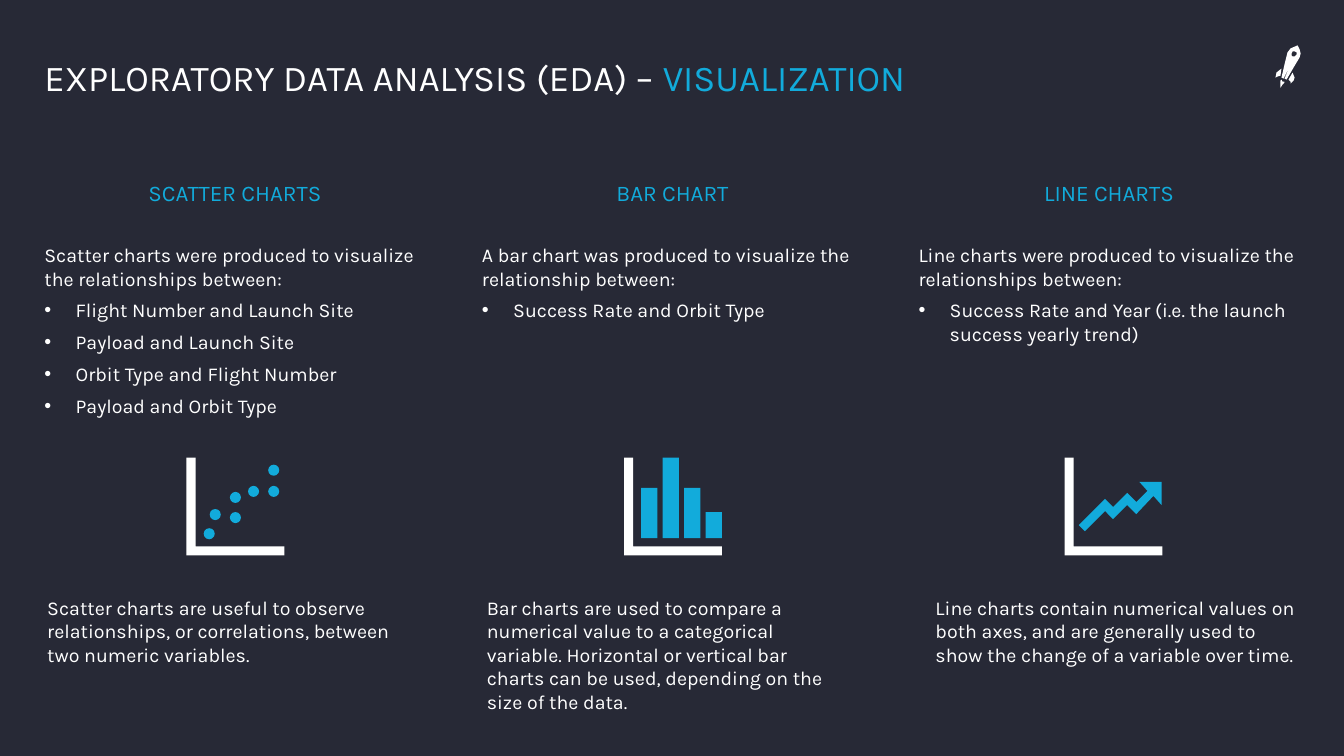
from lxml import etree
from pptx import Presentation
from pptx.dml.color import RGBColor
from pptx.enum.shapes import MSO_SHAPE as Preset
from pptx.enum.text import MSO_ANCHOR as Anchor, PP_ALIGN as Align
from pptx.oxml.ns import qn
from pptx.util import Inches, Pt

COLORS = {"background": "272936", "white": "FFFFFF", "blue": "12ABDB"}
FONT = "Karla"

presentation = Presentation()
presentation.slide_width = Inches(13.33)
presentation.slide_height = Inches(7.5)
slide = presentation.slides.add_slide(presentation.slide_layouts[6])
slide.background.fill.solid()
slide.background.fill.fore_color.rgb = RGBColor.from_string(COLORS["background"])


def add_text(text, left, top, width, height, size=14, color="white", accent="",
             align=Align.LEFT, anchor=Anchor.TOP, inset=(0, 0), bullets=(),
             space_after=0, line_spacing=None):
    """Add a text box: a lead paragraph with an optional accent, then bullets."""
    box = slide.shapes.add_textbox(Inches(left), Inches(top), Inches(width), Inches(height))
    frame = box.text_frame
    frame.word_wrap = True
    frame.vertical_anchor = anchor
    frame.margin_left = frame.margin_right = Inches(inset[0])
    frame.margin_top = frame.margin_bottom = Inches(inset[1])
    for index, line in enumerate([text, *bullets]):
        paragraph = frame.paragraphs[0] if index == 0 else frame.add_paragraph()
        if index > 0:
            properties = paragraph._p.get_or_add_pPr()
            properties.set("marL", str(Inches(0.31)))
            properties.set("indent", str(-Inches(0.31)))
            etree.SubElement(properties, qn("a:buFont")).set("typeface", "Arial")
            etree.SubElement(properties, qn("a:buChar")).set("char", "•")
        paragraph.alignment = align
        paragraph.space_after = Pt(space_after)
        paragraph.line_spacing = line_spacing
        pieces = [(line, color)]
        if accent and index == 0:
            pieces.append((accent, "blue"))
        for piece, piece_color in pieces:
            run = paragraph.add_run()
            run.text = piece
            run.font.name = FONT
            run.font.size = Pt(size)
            run.font.color.rgb = RGBColor.from_string(COLORS[piece_color])


def paint(shape, color):
    """Give a shape a flat fill without line or shadow."""
    shape.shadow.inherit = False
    shape.fill.solid()
    shape.fill.fore_color.rgb = RGBColor.from_string(COLORS[color])
    shape.line.fill.background()


# Title
add_text("EXPLORATORY DATA ANALYSIS (EDA) – ", 0.44, 0.21, 11.97, 0.78, size=26,
         accent="VISUALIZATION", anchor=Anchor.BOTTOM, line_spacing=0.9)

# Three columns: left, caption left, heading, lead, bullets, caption
columns = [
    (0.44, 0.37, "SCATTER CHARTS",
     "Scatter charts were produced to visualize the relationships between:",
     ["Flight Number and Launch Site", "Payload and Launch Site",
      "Orbit Type and Flight Number", "Payload and Orbit Type"],
     "Scatter charts are useful to observe relationships, or correlations, between "
     "two numeric variables."),
    (4.78, 4.73, "BAR CHART",
     "A bar chart was produced to visualize the relationship between:",
     ["Success Rate and Orbit Type"],
     "Bar charts are used to compare a numerical value to a categorical variable. "
     "Horizontal or vertical bar charts can be used, depending on the size of the data."),
    (9.11, 9.18, "LINE CHARTS",
     "Line charts were produced to visualize the relationships between:",
     ["Success Rate and Year (i.e. the launch success yearly trend)"],
     "Line charts contain numerical values on both axes, and are generally used to "
     "show the change of a variable over time."),
]
for left, caption_left, heading, lead, bullets, caption in columns:
    add_text(heading, left, 1.45, 3.78, 0.92, size=16, color="blue",
             align=Align.CENTER, anchor=Anchor.MIDDLE, space_after=6)
    add_text(lead, left, 2.41, 3.78, 2.0, bullets=bullets, space_after=6)
    add_text(caption, caption_left, 5.86, 3.78, 1.04, inset=(0.1, 0.05))

# Outlines in hundredths of an inch: rocket, trend arrow and chart axes
rocket = [
    [(1274, 78), (1277, 71), (1277, 70), (1273, 78), (1271, 77), (1274, 64), (1277, 52),
     (1280, 48), (1287, 45), (1289, 49), (1290, 53), (1289, 57), (1283, 67), (1276, 79)],
    [(1284, 51), (1282, 51), (1281, 53), (1281, 55), (1282, 56), (1284, 56), (1286, 54),
     (1286, 52)],
    [(1270, 87), (1270, 80), (1271, 79), (1272, 81), (1274, 81), (1274, 82), (1272, 84)],
    [(1280, 83), (1280, 81), (1278, 79), (1282, 72), (1284, 77), (1283, 80)],
    [(1265, 77), (1266, 72), (1271, 68), (1270, 75), (1267, 76)],
]
trend = [(1130, 478), (1138, 487), (1127, 498), (1118, 489), (1104, 503), (1096, 495),
         (1070, 521), (1076, 527), (1096, 507), (1104, 515), (1118, 501), (1127, 510),
         (1144, 492), (1152, 501), (1152, 478)]
outlines = [("white", rocket), ("blue", [trend])]
for x in (185, 619, 1056):
    axes = [(x, 454), (x, 551), (x + 97, 551), (x + 97, 542), (x + 9, 542), (x + 9, 454)]
    outlines.append(("white", [axes]))
for color, contours in outlines:
    builder = slide.shapes.build_freeform(*contours[0][0], scale=Inches(0.01))
    builder.add_line_segments(contours[0][1:], close=True)
    for contour in contours[1:]:
        builder.move_to(*contour[0])
        builder.add_line_segments(contour[1:], close=True)
    paint(builder.convert_to_shape(), color)

# Scatter icon dots
dots = [(2.02, 5.24), (2.08, 5.05), (2.28, 5.08), (2.28, 4.88),
        (2.46, 4.82), (2.66, 4.82), (2.66, 4.61)]
for x, y in dots:
    dot = slide.shapes.add_shape(Preset.OVAL, Inches(x), Inches(y), Inches(0.11), Inches(0.11))
    paint(dot, "blue")

# Bar icon bars, standing on one baseline
for index, height in enumerate([0.5, 0.8, 0.5, 0.26]):
    bar = slide.shapes.add_shape(Preset.RECTANGLE, Inches(6.36 + index * 0.64 / 3),
                                 Inches(5.34 - height), Inches(0.16), Inches(height))
    paint(bar, "blue")

presentation.save("out.pptx")
